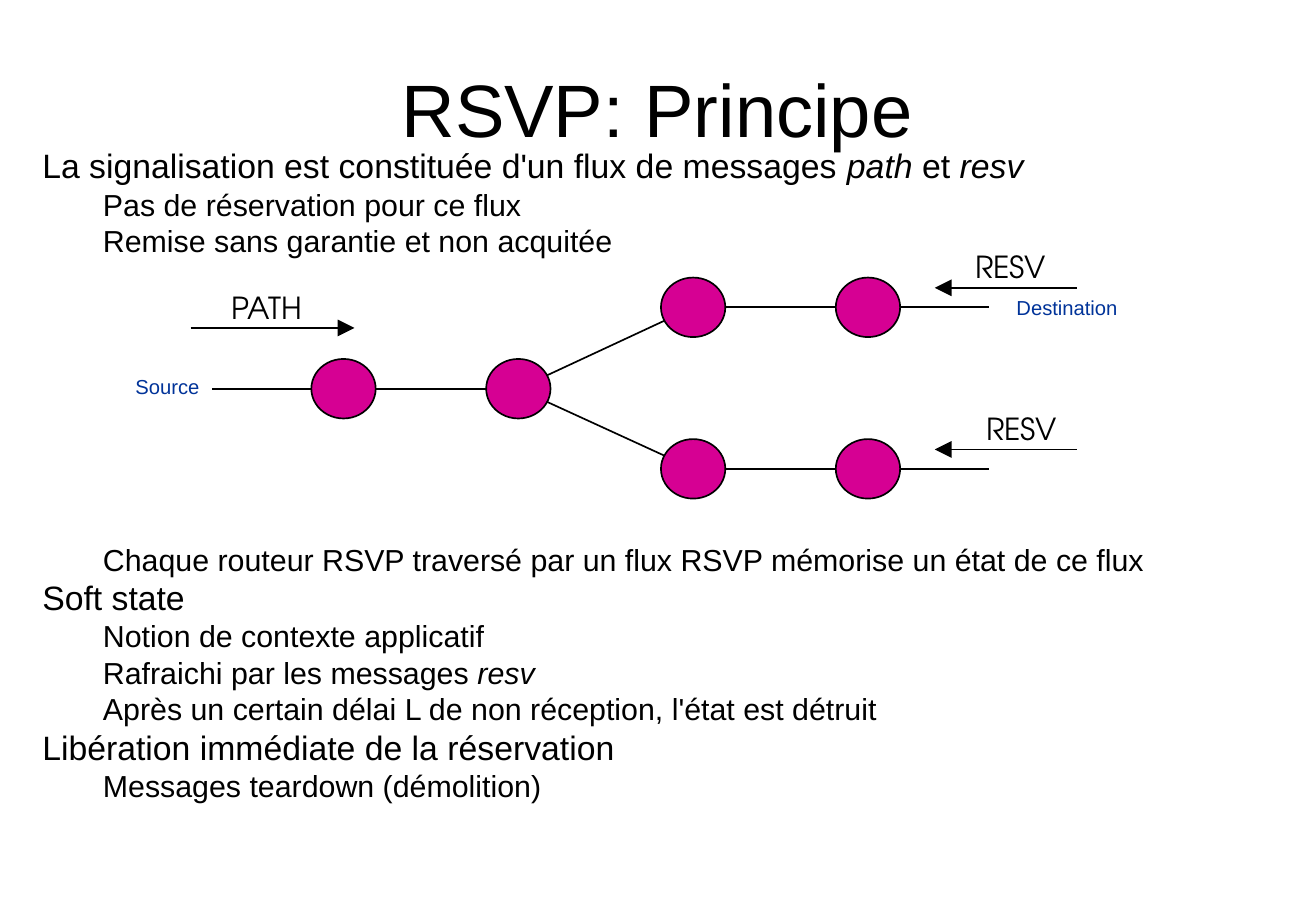
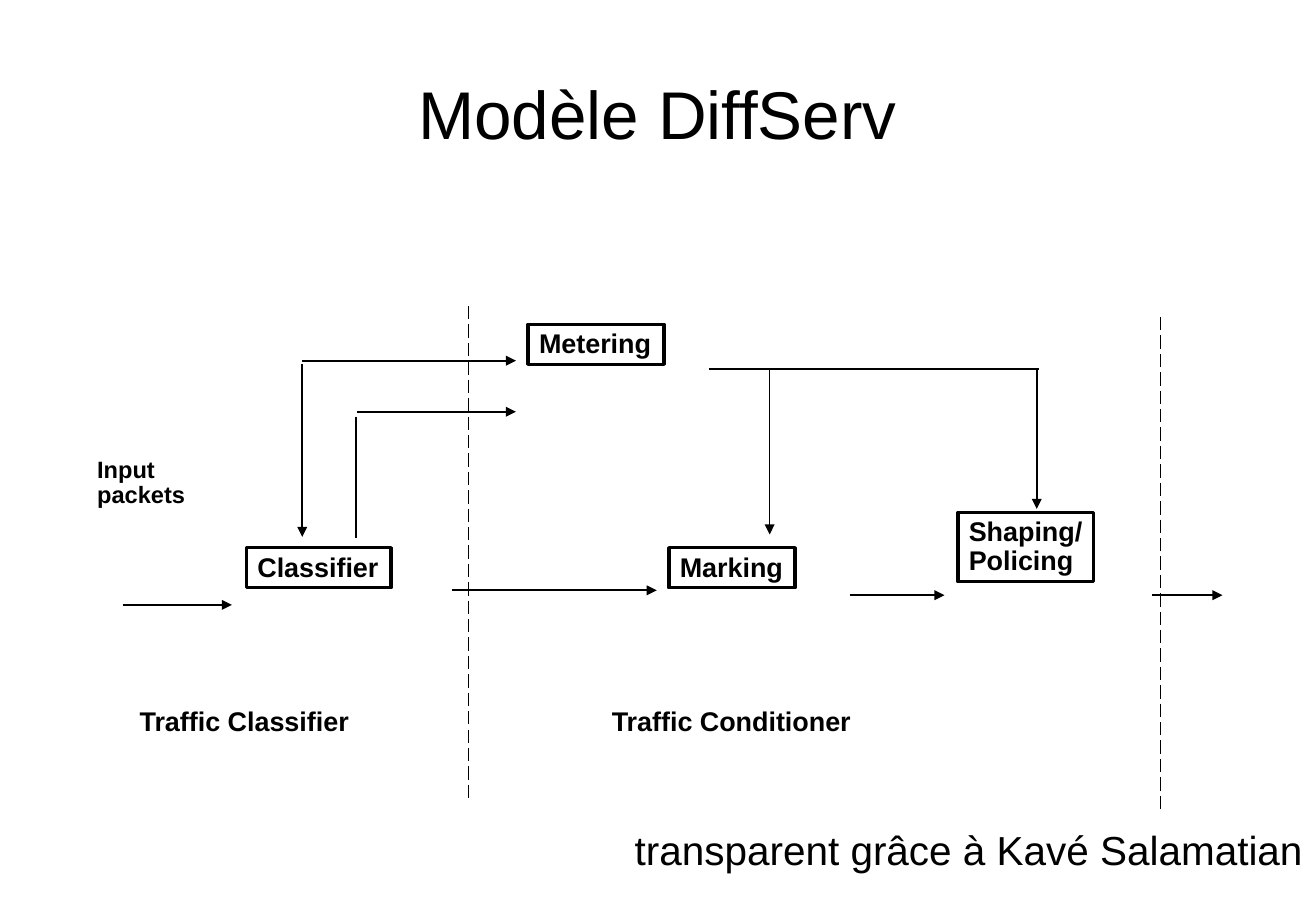
from dataclasses import dataclass

from lxml import etree
from pptx import Presentation
from pptx.dml.color import RGBColor
from pptx.enum.dml import MSO_LINE
from pptx.enum.shapes import MSO_CONNECTOR, MSO_SHAPE
from pptx.enum.text import MSO_ANCHOR, PP_ALIGN
from pptx.oxml.ns import qn
from pptx.util import Inches, Pt

LEFT, CENTER = PP_ALIGN.LEFT, PP_ALIGN.CENTER
TOP, MIDDLE = MSO_ANCHOR.TOP, MSO_ANCHOR.MIDDLE
STRAIGHT = MSO_CONNECTOR.STRAIGHT
LONG_DASH = MSO_LINE.LONG_DASH
OVAL, RECTANGLE = MSO_SHAPE.OVAL, MSO_SHAPE.RECTANGLE


@dataclass(frozen=True)
class Theme:
    ink: RGBColor = RGBColor(0x00, 0x00, 0x00)
    router: RGBColor = RGBColor(0xD6, 0x00, 0x93)
    endpoint: RGBColor = RGBColor(0x00, 0x33, 0x99)
    font: str = "Arial"
    message_font: str = "TeX Gyre Adventor"
    rsvp_title: int = 44
    diffserv_title: int = 40
    topic: int = 20
    detail: int = 18
    message: int = 18
    endpoint_size: int = 12
    block: int = 16
    input_size: int = 14
    credit: int = 24
    thin: int = 1
    thick: int = 2


theme = Theme()
TITLE_AREA = (0.54, 0.3, 9.75, 1.25)


def write_text(shape, lines, size, color=theme.ink, font=theme.font, bold=False,
               align=LEFT, anchor=TOP, spacing=1.0, inset=(0.1, 0.05), wrap=False):
    """Fill a shape with lines; each is a string or (level, [(text, italic), ...])."""
    frame = shape.text_frame
    frame.word_wrap = wrap
    frame.vertical_anchor = anchor
    frame.margin_left = frame.margin_right = Inches(inset[0])
    frame.margin_top = frame.margin_bottom = Inches(inset[1])
    for number, line in enumerate(lines):
        para = frame.paragraphs[0] if number == 0 else frame.add_paragraph()
        para.alignment = align
        para.line_spacing = spacing
        para_size = size
        spans = [(line, False)]
        if not isinstance(line, str):
            level, spans = line
            para_size = theme.detail if level else size
            para.level = level
            para.space_before = Pt(4.2 if level else 4.8)
            properties = para._p.get_or_add_pPr()
            properties.set("marL", str(Inches(0.5 * level)))
            properties.set("indent", "0")
        for text, italic in spans:
            span = para.add_run()
            span.text = text
            span.font.name = font
            span.font.size = Pt(para_size)
            span.font.bold = bold
            span.font.italic = italic
            span.font.color.rgb = color


def add_line(page, start, end, arrow=None, dash=None):
    """Draw a line; arrow is the size (med or lg) of the head at its end."""
    line = page.shapes.add_connector(STRAIGHT, *map(Inches, start + end))
    line.line.color.rgb = theme.ink
    line.line.width = Pt(theme.thin)
    if dash:
        line.line.dash_style = dash
    if arrow:
        etree.SubElement(line.line._get_or_add_ln(), qn("a:tailEnd"),
                         type="triangle", w=arrow, len=arrow)
    etree.SubElement(line._element.spPr, qn("a:effectLst"))


deck = Presentation()
deck.slide_width, deck.slide_height = Inches(10.84), Inches(7.5)
pages = []
for title, size, spacing in [
    ("RSVP: Principe", theme.rsvp_title, 0.93),
    ("Modèle DiffServ", theme.diffserv_title, 1.0),
]:
    page = deck.slides.add_slide(deck.slide_layouts[6])
    box = page.shapes.add_textbox(*map(Inches, TITLE_AREA))
    write_text(box, [title], size, align=CENTER, anchor=MIDDLE, spacing=spacing, wrap=True)
    pages.append(page)
rsvp_page, diffserv_page = pages

# RSVP: text above and below the network
signalling = [
    (0, [("La signalisation est constituée d'un flux de messages ", False),
         ("path", True), (" et ", False), ("resv", True)]),
    (1, [("Pas de réservation pour ce flux", False)]),
    (1, [("Remise sans garantie et non acquitée", False)]),
]
states = [
    (1, [("Chaque routeur RSVP traversé par un flux RSVP mémorise un état de ce flux", False)]),
    (0, [("Soft state", False)]),
    (1, [("Notion de contexte applicatif", False)]),
    (1, [("Rafraichi par les messages ", False), ("resv", True)]),
    (1, [("Après un certain délai L de non réception, l'état est détruit", False)]),
    (0, [("Libération immédiate de la réservation", False)]),
    (1, [("Messages teardown (démolition)", False)]),
]
for top, height, lines, first_spacing in [
    (1.17, 1.1, signalling, 0.93),
    (4.46, 2.95, states, 0.8),
]:
    box = rsvp_page.shapes.add_textbox(Inches(0.25), Inches(top), Inches(10.33), Inches(height))
    write_text(box, lines, theme.topic, spacing=0.8, wrap=True)
    box.text_frame.paragraphs[0].line_spacing = first_spacing

# RSVP: a path that forks into two branches
columns = [2.83 + 1.44 * step for step in range(4)]
trunk, upper, lower = 3.2, 2.53, 3.86
fork = (columns[1], trunk)
add_line(rsvp_page, (1.75, trunk), fork)
routers = [(columns[0], trunk), fork]
for branch in (upper, lower):
    add_line(rsvp_page, fork, (columns[2], branch))
    add_line(rsvp_page, (columns[2], branch), (8.15, branch))
    routers += [(columns[2], branch), (columns[3], branch)]
router_width, router_height = 0.53, 0.49
for x, y in routers:
    router = rsvp_page.shapes.add_shape(
        OVAL, Inches(x - router_width / 2), Inches(y - router_height / 2),
        Inches(router_width), Inches(router_height))
    router.shadow.inherit = False
    router.fill.solid()
    router.fill.fore_color.rgb = theme.router
    router.line.color.rgb = theme.ink
    router.line.width = Pt(theme.thin)

for message, left, top, width, start, end in [
    ("PATH", 1.76, 2.34, 0.88, (1.57, 2.7), (2.92, 2.7)),
    ("RESV", 7.91, 2.01, 0.83, (8.87, 2.37), (7.7, 2.37)),
    ("RESV", 8.0, 3.34, 0.83, (8.87, 3.7), (7.7, 3.7)),
]:
    box = rsvp_page.shapes.add_textbox(Inches(left), Inches(top), Inches(width), Inches(0.4))
    write_text(box, [message], theme.message, font=theme.message_font,
               align=CENTER, spacing=0.99)
    add_line(rsvp_page, start, end, arrow="lg")

for name, left, top, width in [("Source", 0.98, 3.1, 0.8), ("Destination", 8.19, 2.45, 1.2)]:
    box = rsvp_page.shapes.add_textbox(Inches(left), Inches(top), Inches(width), Inches(0.19))
    write_text(box, [name], theme.endpoint_size, color=theme.endpoint, align=CENTER,
               anchor=MIDDLE, spacing=0.93, inset=(0.04, 0))

# DiffServ: blocks, captions and flows
for lines, area in [
    (["Metering"], (4.35, 2.67, 1.12, 0.33)),
    (["Classifier"], (2.03, 4.51, 1.19, 0.33)),
    (["Marking"], (5.51, 4.51, 1.04, 0.33)),
    (["Shaping/", "Policing"], (7.89, 4.22, 1.12, 0.57)),
]:
    block = diffserv_page.shapes.add_shape(RECTANGLE, *map(Inches, area))
    block.shadow.inherit = False
    block.fill.background()
    block.line.color.rgb = theme.ink
    block.line.width = Pt(theme.thick)
    write_text(block, lines, theme.block, bold=True, spacing=0.9, inset=(0.09, 0.05))

for lines, size, area in [
    (["Traffic Classifier"], theme.block, (1.06, 5.78, 1.92, 0.33)),
    (["Traffic Conditioner"], theme.block, (4.95, 5.78, 2.16, 0.33)),
    (["Input", "packets"], theme.input_size, (0.71, 3.72, 0.91, 0.51)),
]:
    box = diffserv_page.shapes.add_textbox(*map(Inches, area))
    write_text(box, lines, size, bold=True, spacing=0.9, inset=(0.09, 0.05))

for start, end in [
    ((1.01, 4.98), (1.91, 4.98)),
    ((2.49, 2.97), (4.25, 2.97)),
    ((2.49, 3.0), (2.49, 4.42)),
    ((2.94, 3.39), (4.25, 3.39)),
    ((3.72, 4.86), (5.41, 4.86)),
    ((6.34, 3.05), (6.34, 4.4)),
    ((7.0, 4.9), (7.78, 4.9)),
    ((8.54, 3.05), (8.54, 4.19)),
    ((9.49, 4.9), (10.07, 4.9)),
]:
    add_line(diffserv_page, start, end, arrow="med")
add_line(diffserv_page, (2.93, 3.43), (2.93, 4.43))
add_line(diffserv_page, (5.84, 3.04), (8.56, 3.04))
for x, top in [(3.86, 2.52), (9.56, 2.61)]:
    add_line(diffserv_page, (x, top), (x, top + 4.06), dash=LONG_DASH)

credit = diffserv_page.shapes.add_textbox(Inches(5.13), Inches(6.74), Inches(5.7), Inches(0.5))
write_text(credit, ["transparent grâce à Kavé Salamatian"], theme.credit)

deck.save("out.pptx")
